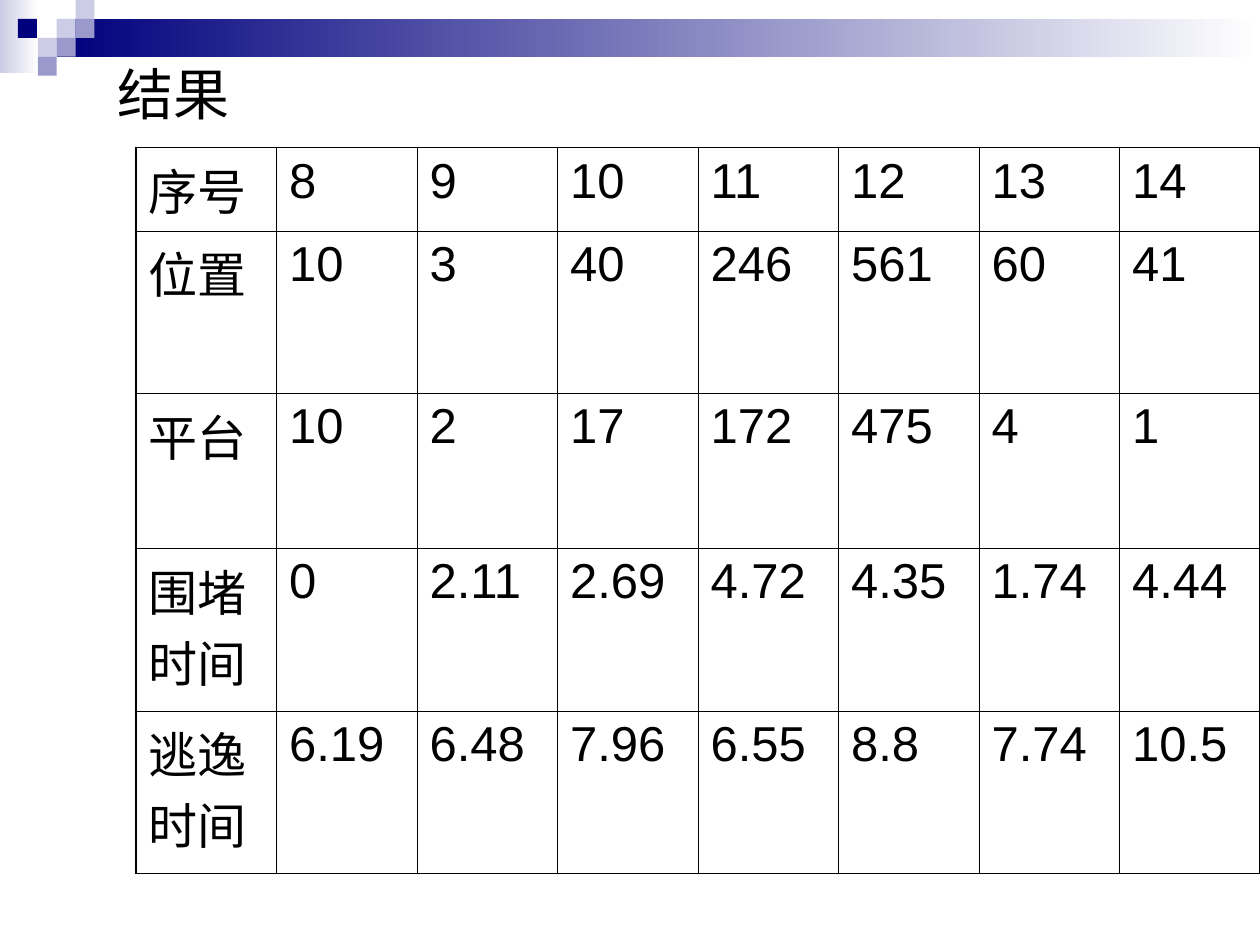
from pptx import Presentation, util as u
from pptx.dml.color import RGBColor
from pptx.enum import shapes, text
from pptx.oxml import parse_xml
from pptx.oxml.ns import nsdecls

COLORS = {"navy": "00007D", "violet": "9999CC", "pale": "CCCCE6",
          "white": "FFFFFF", "black": "000000"}
FONT = "Arial"
TITLE = "结果"
ROWS = [
    ("序号", "8", "9", "10", "11", "12", "13", "14"),
    ("位置", "10", "3", "40", "246", "561", "60", "41"),
    ("平台", "10", "2", "17", "172", "475", "4", "1"),
    ("围堵时间", "0", "2.11", "2.69", "4.72", "4.35", "1.74", "4.44"),
    ("逃逸时间", "6.19", "6.48", "7.96", "6.55", "8.8", "7.74", "10.5"),
]
ROW_HEIGHTS = [0.57, 1.29, 1.23, 1.29, 1.29]
TABLE_LEFT, TABLE_TOP, SLIDE_WIDTH = 1.08, 1.17, 10
OUTER_LINE, INNER_LINE = 1.08, 0.45

SQUARE = 0.15
GRADIENT_BANDS = [  # left, top, width, height, start colour
    (0, 0, 0.31, 0.58, "pale"),
    (3 * SQUARE, SQUARE, SLIDE_WIDTH - 3 * SQUARE, 2 * SQUARE, "navy"),
]
SQUARES = [  # column, row, colour
    (3, 1, "pale"), (4, 0, "pale"), (4, 1, "violet"), (2, 2, "pale"),
    (0.95, 1, "navy"), (3, 2, "violet"), (2, 3, "violet"),
]


def rgb(name):
    return RGBColor.from_string(COLORS[name])


def write(frame, content, size, space_before=0):
    paragraph = frame.paragraphs[0]
    paragraph.alignment = text.PP_ALIGN.LEFT
    paragraph.space_before = u.Pt(space_before)
    run = paragraph.add_run()
    run.text = content
    run.font.size = u.Pt(size)
    run.font.name = FONT
    run.font.color.rgb = rgb("black")


def add_rectangle(slide, left, top, width, height, color, fade=False):
    shape = slide.shapes.add_shape(
        shapes.MSO_SHAPE.RECTANGLE, *map(u.Inches, (left, top, width, height)))
    shape.shadow.inherit = False
    shape.line.fill.background()
    if fade:
        shape.fill.gradient()
        shape.fill.gradient_angle = 0
        for stop, name in zip(shape.fill.gradient_stops, (color, "white")):
            stop.color.rgb = rgb(name)
    else:
        shape.fill.solid()
        shape.fill.fore_color.rgb = rgb(color)


def set_borders(cell, widths):
    """Draw cell borders; widths are points for left, right, top, bottom."""
    properties = cell._tc.get_or_add_tcPr()
    for index, (side, width) in enumerate(zip("LRTB", widths)):
        properties.insert(index, parse_xml(
            f'<a:ln{side} {nsdecls("a")} w="{u.Pt(width)}"><a:solidFill>'
            f'<a:srgbClr val="{COLORS["black"]}"/></a:solidFill></a:ln{side}>'))


def add_results_table(slide):
    row_count, column_count = len(ROWS), len(ROWS[0])
    width = SLIDE_WIDTH - TABLE_LEFT
    table = slide.shapes.add_table(
        row_count, column_count, u.Inches(TABLE_LEFT), u.Inches(TABLE_TOP),
        u.Inches(width), u.Inches(sum(ROW_HEIGHTS))).table
    table.first_row = table.horz_banding = False
    for column in table.columns:
        column.width = u.Inches(width / column_count)
    for r, (values, height) in enumerate(zip(ROWS, ROW_HEIGHTS)):
        table.rows[r].height = u.Inches(height)
        for c, value in enumerate(values):
            cell = table.cell(r, c)
            cell.fill.background()
            write(cell.text_frame, value, size=28, space_before=7)
            on_edge = (c == 0, c == column_count - 1, r == 0, r == row_count - 1)
            set_borders(cell, [OUTER_LINE if edge else INNER_LINE for edge in on_edge])


def main():
    presentation = Presentation()
    presentation.slide_width = u.Inches(SLIDE_WIDTH)
    presentation.slide_height = u.Inches(7.5)
    slide = presentation.slides.add_slide(presentation.slide_layouts[5])

    for *box, color in GRADIENT_BANDS:
        add_rectangle(slide, *box, color, fade=True)
    for column, row, color in SQUARES:
        add_rectangle(slide, column * SQUARE, row * SQUARE, SQUARE, SQUARE, color)
    add_results_table(slide)

    title = slide.shapes.title
    title.left, title.top, title.width, title.height = map(
        u.Inches, (0.83, 0.42, 1.09, 0.64))
    frame = title.text_frame
    frame.word_wrap = False
    frame.auto_size = text.MSO_AUTO_SIZE.NONE
    frame.vertical_anchor = text.MSO_ANCHOR.MIDDLE
    write(frame, TITLE, size=32)

    presentation.save("out.pptx")


if __name__ == "__main__":
    main()
